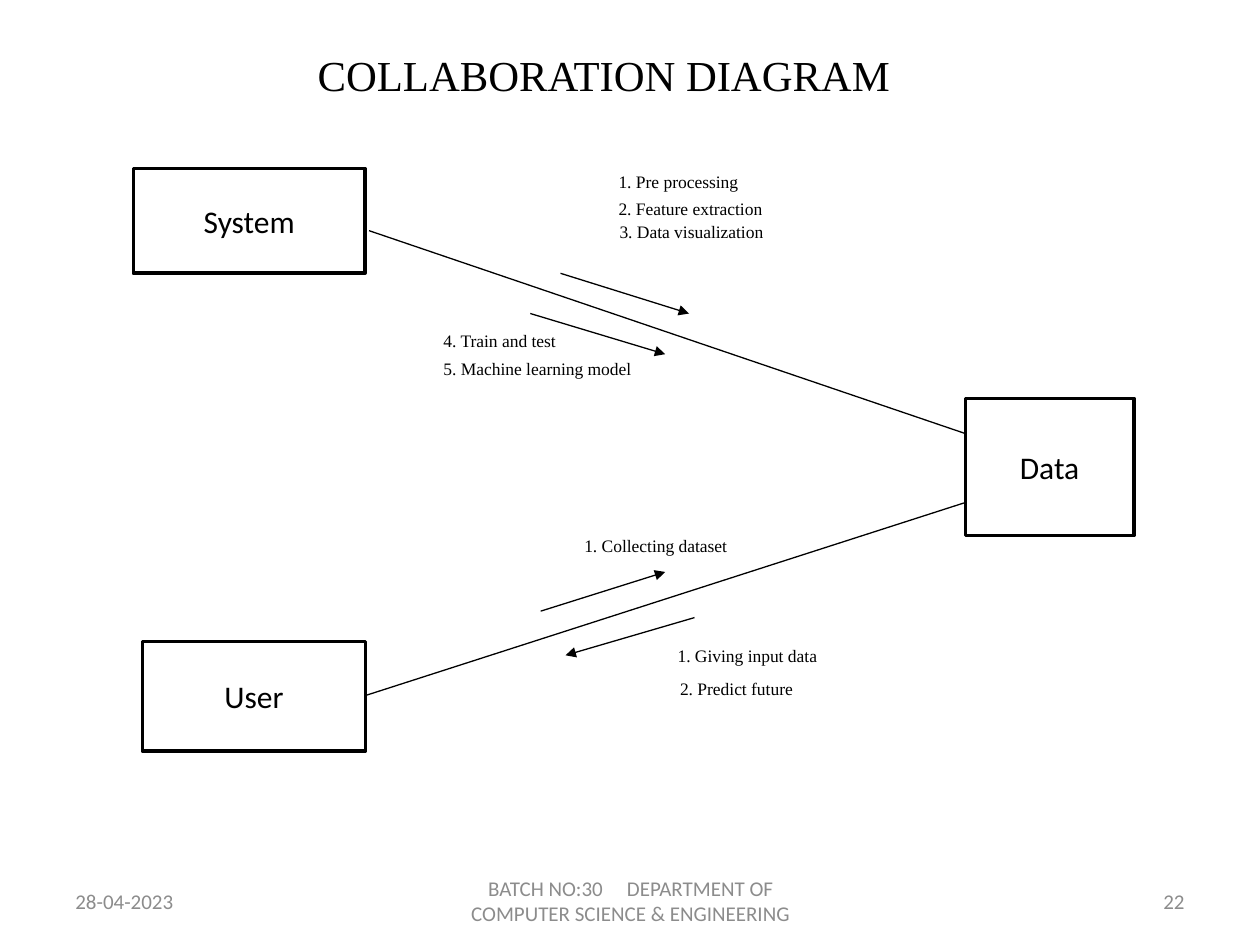
from pptx import Presentation
from pptx.dml.color import RGBColor
from pptx.enum.shapes import MSO_CONNECTOR, MSO_SHAPE
from pptx.enum.text import MSO_ANCHOR, MSO_AUTO_SIZE, PP_ALIGN
from pptx.oxml.ns import qn
from pptx.util import Cm, Pt
from lxml.etree import SubElement


def paint(part, tone):
    part.solid()
    part.fore_color.rgb = RGBColor.from_string(tone)


def write(shape, text, size=10, font="Times New Roman", tone="000000",
          align=PP_ALIGN.LEFT, anchor=MSO_ANCHOR.MIDDLE):
    frame = shape.text_frame
    frame.word_wrap = True
    frame.auto_size = MSO_AUTO_SIZE.NONE
    frame.vertical_anchor = anchor
    para = frame.paragraphs[0]
    para.alignment = align
    run = para.add_run()
    run.text = text
    run.font.size = Pt(size)
    run.font.name = font
    paint(run.font.fill, tone)
    return run


deck = Presentation()
deck.slide_width, deck.slide_height = Cm(25.4), Cm(19.05)
slide = deck.slides.add_slide(deck.slide_layouts[5])
shapes = slide.shapes

title = shapes.title
title.left, title.top, title.width, title.height = Cm(0.74), Cm(0.05), Cm(22.86), Cm(2.92)
write(title, "COLLABORATION DIAGRAM", size=24.4, align=PP_ALIGN.CENTER)

lines = [
    (7.44, 4.65, 19.46, 8.74, False),
    (7.37, 14.02, 19.46, 10.13, False),
    (10.9, 12.32, 13.41, 11.53, True),
    (11.3, 5.51, 13.89, 6.32, True),
    (10.69, 6.32, 13.41, 7.14, True),
    (14, 12.45, 11.4, 13.21, True),
]
for x1, y1, x2, y2, arrow in lines:
    link = shapes.add_connector(MSO_CONNECTOR.STRAIGHT, Cm(x1), Cm(y1), Cm(x2), Cm(y2))
    paint(link.line.fill, "000000")
    link.line.width = Pt(0.75)
    if arrow:
        SubElement(link.line._get_or_add_ln(), qn("a:tailEnd"), type="triangle")
    SubElement(link._element.spPr, qn("a:effectLst"))

boxes = [
    ("System", 2.69, 3.4, 4.67, 2.11),
    ("User", 2.87, 12.93, 4.5, 2.21),
    ("Data", 19.46, 8.03, 3.4, 2.77),
]
for name, x, y, w, h in boxes:
    box = shapes.add_shape(MSO_SHAPE.RECTANGLE, Cm(x), Cm(y), Cm(w), Cm(h))
    box.shadow.inherit = False
    paint(box.fill, "FFFFFF")
    paint(box.line.fill, "000000")
    box.line.width = Pt(2)
    write(box, name, size=18, font="Calibri", align=PP_ALIGN.CENTER)

labels = [
    ("1. Pre processing", 12.22, 3.33),
    ("2. Feature extraction", 12.22, 3.86),
    ("3. Data visualization", 12.24, 4.34),
    ("4. Train and test", 8.69, 6.53),
    ("5. Machine learning model", 8.69, 7.09),
    ("1. Collecting dataset", 11.53, 10.67),
    ("1. Giving input data", 13.41, 12.88),
    ("2. Predict future", 13.46, 13.54),
]
for text, x, y in labels:
    label = shapes.add_textbox(Cm(x), Cm(y), Cm(6), Cm(0.69))
    write(label, text, anchor=MSO_ANCHOR.TOP)

feet = [
    (["28-04-2023"], 1.27, 5.92, PP_ALIGN.LEFT),
    (["BATCH NO:30", " ", "DEPARTMENT OF COMPUTER SCIENCE & ENGINEERING"],
     8.69, 8.05, PP_ALIGN.CENTER),
    (["22"], 18.21, 5.92, PP_ALIGN.RIGHT),
]
for parts, x, w, align in feet:
    foot = shapes.add_textbox(Cm(x), Cm(17.65), Cm(w), Cm(1.02))
    for part in parts:
        run = write(foot, part, size=12, font="Calibri", tone="8C8C8C", align=align)
        if part == " ":
            run._r.get_or_add_rPr().set("spc", "1090")

deck.save("out.pptx")
